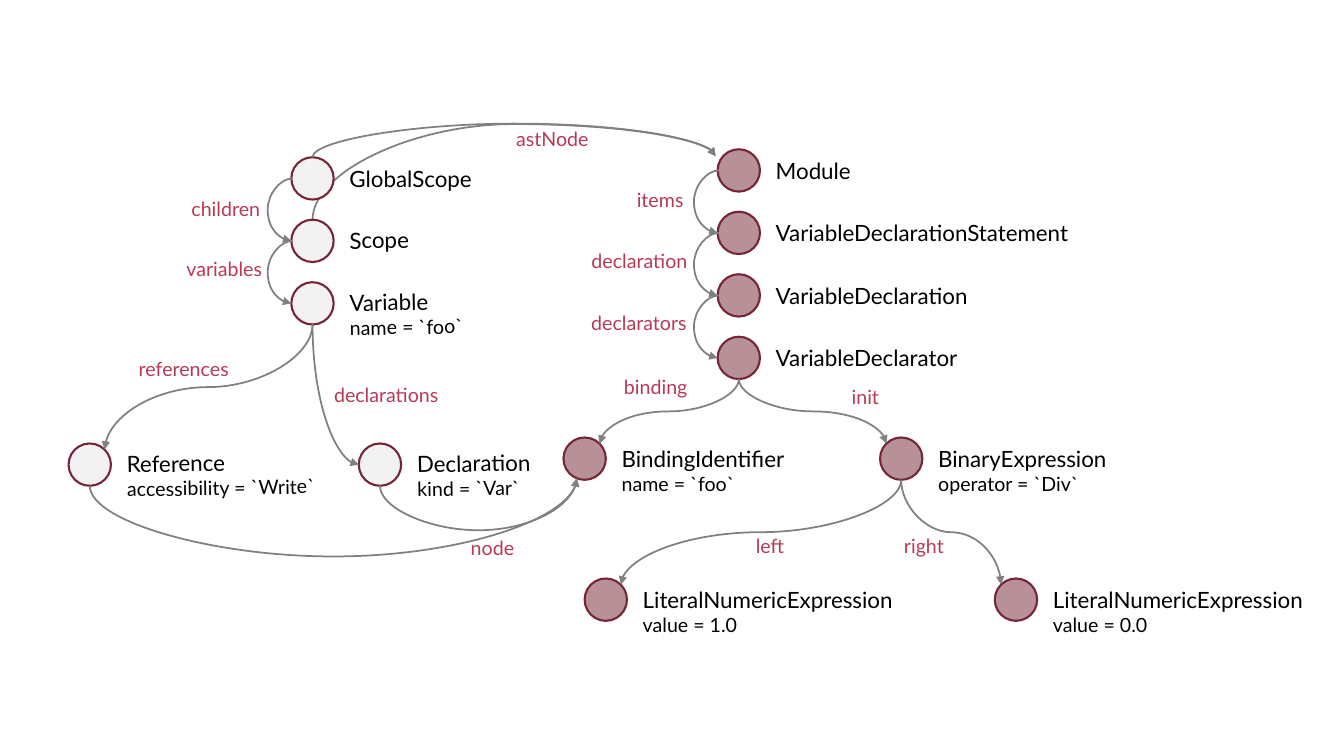
import math

import lxml.etree
import pptx
import pptx.dml.color
import pptx.enum.shapes
import pptx.enum.text
import pptx.oxml.ns
import pptx.util

Pt = pptx.util.Pt
qn = pptx.oxml.ns.qn
ALIGN = pptx.enum.text.PP_ALIGN
ANCHOR = pptx.enum.text.MSO_ANCHOR


def ink(code):
    return pptx.dml.color.RGBColor.from_string(code)


class Graph:
    """Draws circles, curved arrows and labels on one slide in a shared style."""

    font = "Lato"
    size = 30.24
    edge, arrow, tag, text = "762536", "808080", "B83A55", "000000"

    def __init__(self, slide):
        self.shapes = slide.shapes

    def run(self, para, words, size, color):
        run = para.add_run()
        run.text = words
        run.font.name = self.font
        run.font.size = Pt(size)
        run.font.color.rgb = ink(color)

    def node(self, spot, fill, name, note="", turn=0):
        oval = pptx.enum.shapes.MSO_SHAPE.OVAL
        shape = self.shapes.add_shape(oval, *map(Pt, spot), Pt(self.size), Pt(self.size))
        shape.shadow.inherit = False
        shape.rotation = turn
        shape.fill.solid()
        shape.fill.fore_color.rgb = ink(fill)
        shape.line.color.rgb = ink(self.edge)
        shape.line.width = Pt(1.5)
        frame = shape.text_frame
        frame.word_wrap = False
        frame.vertical_anchor = ANCHOR.TOP if note else ANCHOR.MIDDLE
        para = frame.paragraphs[0]
        para.alignment = ALIGN.LEFT
        para.level = 1
        props = para._p.get_or_add_pPr()
        props.set("marL", str(Pt(30)))
        props.set("indent", "0")
        self.run(para, name, 16, self.text)
        if note:
            frame.margin_top = Pt(1)
            frame.margin_bottom = 0
            para.add_line_break()
            self.run(para, note, 14, self.text)

    def rim(self, spot, angle):
        half, turn = self.size / 2, math.radians(angle)
        return spot[0] + half * (1 + math.cos(turn)), spot[1] + half * (1 + math.sin(turn))

    def curve(self, start, end, mid=None, upright=True, bend=3):
        axis = 1 if upright else 0
        ratio = 0.5 if mid is None else (mid - start[axis]) / (end[axis] - start[axis])
        ends, sign = [start, end], 1
        if upright:
            sign = -1 if end[0] > start[0] and end[1] > start[1] else 1
            cx, cy = (start[0] + end[0]) / 2, (start[1] + end[1]) / 2
            ends = [(cx + sign * (y - cy), cy - sign * (x - cx)) for x, y in ends]
        kind = pptx.enum.shapes.MSO_CONNECTOR.CURVE
        link = self.shapes.add_connector(kind, *(Pt(v) for point in ends for v in point))
        link.line.color.rgb = ink(self.arrow)
        link.line.width = Pt(1.25)
        props = link._element.spPr
        if upright:
            props.find(qn("a:xfrm")).set("rot", str(sign * 90 % 360 * 60000))
        shape = props.find(qn("a:prstGeom"))
        shape.set("prst", f"curvedConnector{bend}")
        if bend == 3:
            guide = lxml.etree.SubElement(shape.find(qn("a:avLst")), qn("a:gd"))
            guide.set("name", "adj1")
            guide.set("fmla", f"val {round(ratio * 100000)}")
        head = lxml.etree.SubElement(props.find(qn("a:ln")), qn("a:tailEnd"))
        head.set("type", "triangle")
        lxml.etree.SubElement(props, qn("a:effectLst"))

    def chain(self, spots):
        for upper, lower in zip(spots, spots[1:]):
            x, y = self.rim(upper, 180)
            self.curve((x + 1, y), self.rim(lower, 180), x - 17, upright=False)

    def label(self, words, left, top, width, align=ALIGN.RIGHT):
        box = self.shapes.add_textbox(Pt(left), Pt(top), Pt(width), Pt(24.2))
        frame = box.text_frame
        frame.word_wrap = False
        frame.auto_size = pptx.enum.text.MSO_AUTO_SIZE.SHAPE_TO_FIT_TEXT
        frame.paragraphs[0].alignment = align
        self.run(frame.paragraphs[0], words, 14, self.tag)


def main():
    deck = pptx.Presentation()
    deck.slide_width, deck.slide_height = Pt(960), Pt(540)
    graph = Graph(deck.slides.add_slide(deck.slide_layouts[6]))
    rim, curve = graph.rim, graph.curve
    dark, light, step = "B89098", "F2F2F2", 44.64

    tree = [(512.6, 106.6 + step * i) for i in range(4)]
    names = ["Module", "VariableDeclarationStatement", "VariableDeclaration", "VariableDeclarator"]
    for spot, name in zip(tree, names):
        graph.node(spot, dark, name)
    binding, binary = (402.5, 312.5), (628.6, 312.5)
    left, right = (417.6, 413.2), (710.6, 413.2)
    for spot, name, note in [
        (binding, "BindingIdentifier", "name = `foo`"),
        (binary, "BinaryExpression", "operator = `Div`"),
        (left, "LiteralNumericExpression", "value = 1.0"),
        (right, "LiteralNumericExpression", "value = 0.0"),
    ]:
        graph.node(spot, dark, name, note)
    graph.chain(tree)
    for source, low, high in [(tree[-1], binding, binary), (binary, left, right)]:
        curve(rim(source, 90), rim(low, -45))
        curve(rim(source, 90), rim(high, -135))

    scopes = [(208.1, 112.3 + step * i) for i in range(3)]
    refer, declare = (49, 316.8), (256.3, 316.8)
    module, peak = (511.2, 111.6), 88.6
    curve(rim(scopes[1], -90), module, peak)
    for spot, name, note, turn in [
        (scopes[0], "GlobalScope", "", 0),
        (scopes[1], "Scope", "", 359),
        (scopes[2], "Variable", "name = `foo`", 359),
        (refer, "Reference", "accessibility = `Write`", 359),
        (declare, "Declaration", "kind = `Var`", 359),
    ]:
        graph.node(spot, light, name, note, turn)
    graph.chain(scopes)
    curve(rim(scopes[2], 90), rim(refer, -45))
    curve(rim(scopes[2], 90), rim(declare, 180), bend=2)
    curve(rim(refer, 90), rim(binding, 112), 397.4)
    curve(rim(declare, 90), rim(binding, 112), 378.7)
    curve(rim(scopes[0], -90), module, peak)

    for words, x, y, width in [
        ("declaration", 414, 174.2, 84.2),
        ("declarators", 412.6, 218.9, 85),
        ("variables", 123.8, 180, 70.6),
        ("references", 91.4, 251.3, 79.2),
        ("children", 128.9, 136.8, 64.1),
        ("declarations", 229, 270, 91.4),
        ("node", 329, 379.4, 45.4),
        ("astNode", 361.4, 87.1, 66.2),
    ]:
        graph.label(words, x, y, width)
    graph.label("binding", 437.8, 264.2, 61.2, ALIGN.CENTER)
    for words, x, y, width in [
        ("items", 447.8, 131, 48.2),
        ("init", 601.2, 271.4, 34.6),
        ("left", 532.8, 378, 34.6),
        ("right", 638.6, 378, 44.6),
    ]:
        graph.label(words, x, y, width, ALIGN.LEFT)
    deck.save("out.pptx")


if __name__ == "__main__":
    main()
